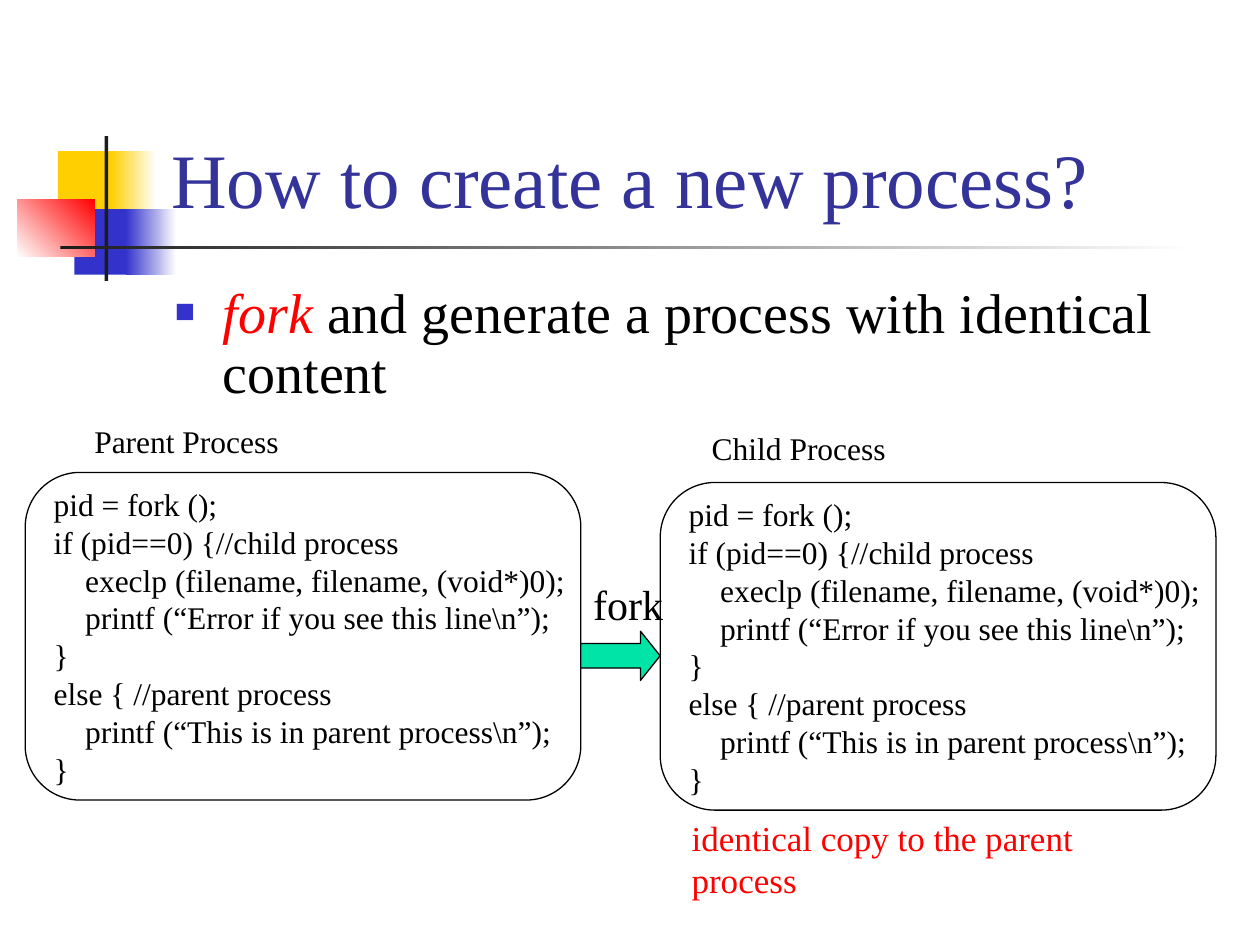
from lxml import etree
from pptx import Presentation
from pptx.dml.color import RGBColor
from pptx.enum.shapes import MSO_SHAPE
from pptx.enum.text import MSO_ANCHOR, PP_ALIGN
from pptx.oxml.ns import qn
from pptx.util import Inches, Pt

RECTANGLE = MSO_SHAPE.RECTANGLE
ROUNDED = MSO_SHAPE.ROUNDED_RECTANGLE
RIGHT_ARROW = MSO_SHAPE.RIGHT_ARROW
TOP, MIDDLE, BOTTOM = MSO_ANCHOR.TOP, MSO_ANCHOR.MIDDLE, MSO_ANCHOR.BOTTOM
LEFT = PP_ALIGN.LEFT

FONT = "Times New Roman"
COLORS = {
    "white": "FFFFFF", "black": "000000", "charcoal": "1C1C1C",
    "yellow": "FFCF01", "blue": "3333CC", "red": "FF0000",
    "title": "333399", "green": "00E4A8",
}


def add_panel(kind, place, fills=(), angle=0, outlined=False):
    """Add a shape with no fill, a solid fill or a two-colour gradient."""
    panel = slide.shapes.add_shape(kind, *[Inches(n) for n in place])
    panel.shadow.inherit = False
    if len(fills) == 2:
        panel.fill.gradient()
        panel.fill.gradient_angle = angle
        for stop, name, position in zip(panel.fill.gradient_stops, fills, (0, 1)):
            stop.color.rgb = RGBColor.from_string(COLORS[name])
            stop.position = position
    elif fills:
        panel.fill.solid()
        panel.fill.fore_color.rgb = RGBColor.from_string(COLORS[fills[0]])
    else:
        panel.fill.background()
    if outlined:
        panel.line.color.rgb = RGBColor.from_string(COLORS["black"])
        panel.line.width = Pt(0.75)
    else:
        panel.line.fill.background()
    return panel


def write_lines(box, lines, size, color="black", anchor=TOP, wrap=False):
    """Write left-aligned paragraphs into a box."""
    frame = box.text_frame
    frame.word_wrap = wrap
    frame.vertical_anchor = anchor
    for index, line in enumerate(lines):
        para = frame.paragraphs[0] if index == 0 else frame.add_paragraph()
        para.text = line
        para.alignment = LEFT
        para.font.name = FONT
        para.font.size = Pt(size)
        para.font.color.rgb = RGBColor.from_string(COLORS[color])
    return frame


deck = Presentation()
deck.slide_width, deck.slide_height = Inches(10), Inches(7.5)
slide = deck.slides.add_slide(deck.slide_layouts[6])

# Corner ornament and title rule
ornament = [
    ((0.46, 1.2, 0.48, 0.52), ["yellow"], 0),
    ((0.88, 1.2, 0.36, 0.52), ["yellow", "white"], 0),
    ((0.59, 1.66, 0.46, 0.52), ["blue"], 0),
    ((1, 1.66, 0.4, 0.52), ["blue", "white"], 0),
    ((0.14, 1.58, 0.61, 0.46), ["white", "red"], 45),
    ((0.83, 1.08, 0.03, 1.15), ["charcoal"], 0),
    ((0.48, 1.95, 9, 0.03), ["charcoal", "white"], 0),
]
for place, fills, angle in ornament:
    add_panel(RECTANGLE, place, fills, angle)

# Process boxes and the arrow between them
code = [
    (0, "pid = fork ();"),
    (0, "if (pid==0) {//child process"),
    (1, "execlp (filename, filename, (void*)0);"),
    (1, "printf (“Error if you see this line\\n”);"),
    (0, "}"),
    (0, "else { //parent process"),
    (1, "printf (“This is in parent process\\n”);"),
    (0, "}"),
]
for left, top in [(0.2, 3.75), (5.24, 3.83)]:
    process_box = add_panel(ROUNDED, (left, top, 4.41, 2.6), outlined=True)
    frame = write_lines(process_box, [text for _, text in code], 18, anchor=MIDDLE)
    for para, (depth, _) in zip(frame.paragraphs, code):
        para._p.get_or_add_pPr().set("marL", str(Inches(0.25 * depth)))

fork_arrow = add_panel(RIGHT_ARROW, (4.61, 5.01, 0.63, 0.39), ["green"], outlined=True)
fork_arrow.adjustments[1] = 0.4

# Title and labels
labels = [
    ((1.26, 0.23, 8.52, 1.6), "How to create a new process?", 44, "title", BOTTOM, True),
    ((0.65, 3.3, 1.67, 0.4), "Parent Process", 18, "black", TOP, False),
    ((5.55, 3.36, 1.58, 0.4), "Child Process", 18, "black", TOP, False),
    ((4.61, 4.54, 0.76, 0.5), "fork", 24, "black", TOP, False),
    ((5.39, 6.43, 4.12, 0.43), "identical copy to the parent process", 20, "red", TOP, True),
]
for place, text, size, color, anchor, wrap in labels:
    label = slide.shapes.add_textbox(*[Inches(n) for n in place])
    write_lines(label, [text], size, color, anchor, wrap)

# Bulleted statement
statement = slide.shapes.add_textbox(Inches(1.29), Inches(2.21), Inches(8.5), Inches(1.07))
frame = write_lines(statement, ["fork"], 32, wrap=True)
para = frame.paragraphs[0]
para.line_spacing = 0.9
para.space_before = Pt(6.4)
keyword = para.runs[0]
keyword.font.italic = True
keyword.font.color.rgb = RGBColor.from_string(COLORS["red"])
para.add_run().text = " and generate a process with identical content"

properties = para._p.get_or_add_pPr()
properties.set("marL", str(Inches(0.38)))
properties.set("indent", str(Inches(-0.38)))
bullet_color = etree.Element(qn("a:buClr"))
etree.SubElement(bullet_color, qn("a:srgbClr"), val=COLORS["blue"])
bullet_parts = [
    bullet_color,
    etree.Element(qn("a:buSzPct"), val="60000"),
    etree.Element(qn("a:buFont"), typeface=FONT),
    etree.Element(qn("a:buChar"), char="■"),
]
first_font = properties.find(qn("a:defRPr"))
for part in bullet_parts:
    first_font.addprevious(part)

deck.save("out.pptx")
